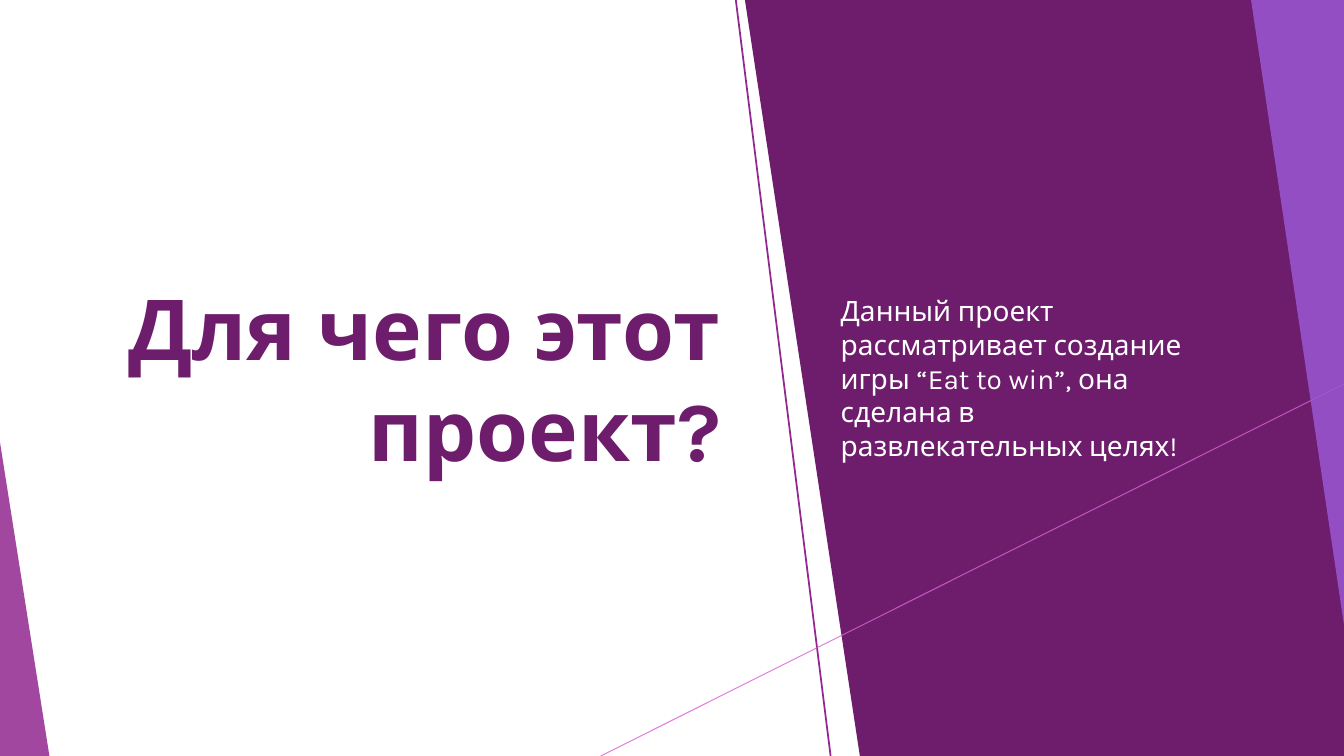
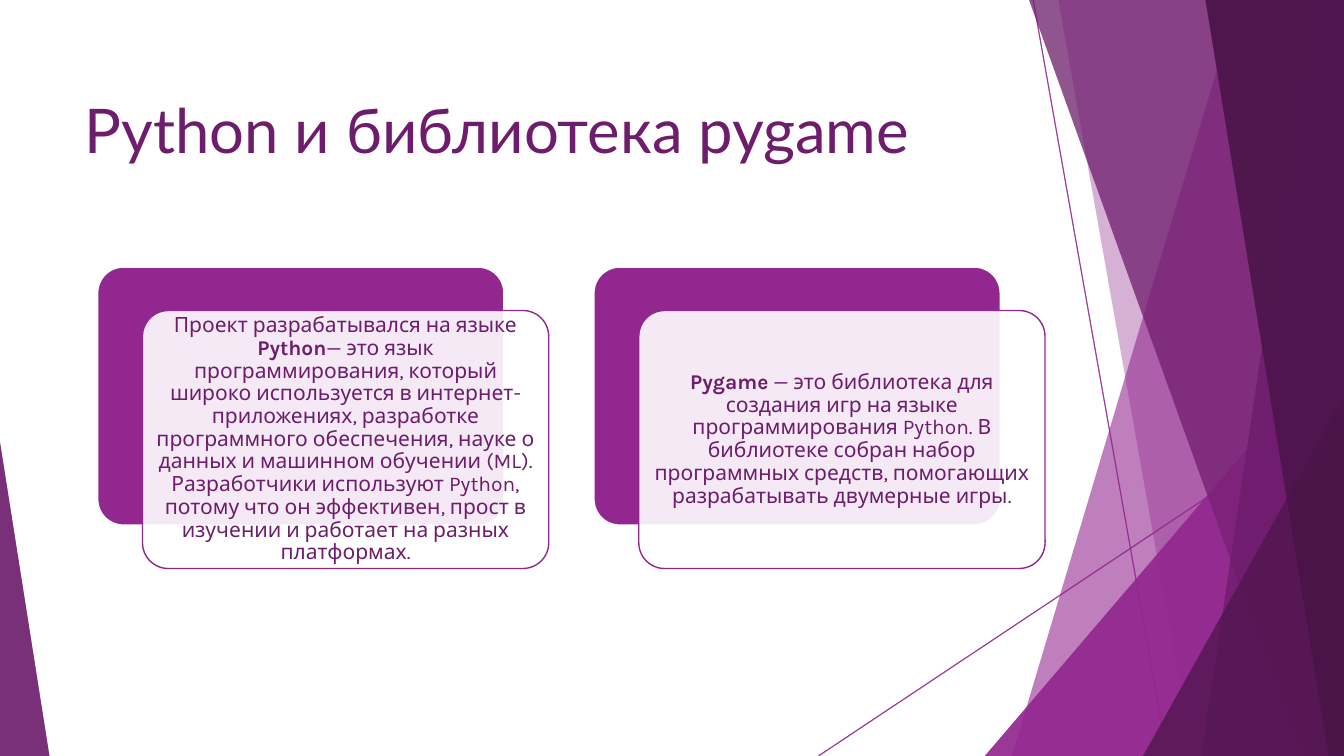
"""Build two slides about a game project written with Python and pygame."""
from dataclasses import dataclass
from typing import Optional, Union

from lxml import etree
from pptx import Presentation
from pptx import util as u
from pptx.dml.color import RGBColor
from pptx.enum import shapes, text
from pptx.oxml.ns import qn

Pt = u.Pt


@dataclass(frozen=True)
class Theme:
    plum: str = "6D1D6B"
    magenta: str = "92278F"
    dark: str = "491447"
    violet: str = "9B57D3"
    pink: str = "D665D3"
    white: str = "FFFFFF"
    font: str = "Karla"
    title_font: str = "Lato"
    cover_size: float = 60
    title_size: float = 44
    body_size: float = 20
    card_size: float = 15
    width: float = 960
    height: float = 540


THEME = Theme()


@dataclass(frozen=True)
class Frame:
    left: float
    top: float
    width: float
    height: float


@dataclass(frozen=True)
class Band:
    top_x: float
    bottom_x: float
    color: str
    opacity: float = 100


@dataclass(frozen=True)
class Wedge:
    frame: Frame
    apex: float
    color: str
    opacity: float
    rotation: float = 0


@dataclass(frozen=True)
class Rule:
    start: tuple[float, float]
    end: tuple[float, float]
    color: str
    weight: float = 0.75
    opacity: float = 100


@dataclass(frozen=True)
class Span:
    words: str
    size: float
    color: str = THEME.plum
    font: str = THEME.font
    bold: bool = False


Decor = Union[Band, Wedge, Rule]

LEFT_CORNER = Frame(0, 316, 35.3, 224)

COVER: list[Decor] = [
    Wedge(LEFT_CORNER, 0, THEME.magenta, 85),
    Band(532.1, 614.2, THEME.plum),
    Rule((525.6, 0), (593.3, 540), THEME.magenta, 1.25),
    Rule((960, 274.3), (429.1, 540), THEME.pink, 0.75, 80),
    Wedge(Frame(893.6, 0, 66.4, 446.4), 0, THEME.violet, 85, 180),
]

FACETS: list[Decor] = [
    Rule((738, 0), (833.8, 540), THEME.magenta, 0.75, 70),
    Rule((960, 290.2), (584.6, 540), THEME.magenta, 0.75, 70),
    Band(884.2, 722.9, THEME.magenta, 36),
    Band(756, 851.8, THEME.magenta, 20),
    Wedge(Frame(703.5, 239.8, 256.5, 300.2), 1, THEME.magenta, 72),
    Band(735.1, 929.5, THEME.plum, 50),
    Band(938.2, 858.2, THEME.plum, 70),
    Band(861.1, 949, THEME.dark, 80),
    Wedge(Frame(816.5, 283, 143.5, 257), 1, THEME.dark, 66),
    Wedge(LEFT_CORNER, 0, THEME.plum, 70),
]

CARDS: list[list[Span]] = [
    [
        Span("Проект разрабатывался на языке ", THEME.card_size),
        Span("Python", THEME.card_size, bold=True),
        Span("— это язык программирования, который широко используется в "
             "интернет-приложениях, разработке программного обеспечения, науке о "
             "данных и машинном обучении (ML). Разработчики используют Python, "
             "потому что он эффективен, прост в изучении и работает на разных "
             "платформах.", THEME.card_size),
    ],
    [
        Span("Pygame", THEME.card_size, bold=True),
        Span(" — это библиотека для создания игр на языке программирования "
             "Python. В библиотеке собран набор программных средств, помогающих "
             "разрабатывать двумерные игры.", THEME.card_size),
    ],
]


def set_opacity(element, opacity: float) -> None:
    if opacity < 100:
        color = next(element.iter(qn("a:srgbClr")))
        etree.SubElement(color, qn("a:alpha"), val=str(int(opacity * 1000)))


def paint(shape, color: str, opacity: float = 100, outline: Optional[str] = None) -> None:
    shape.shadow.inherit = False
    shape.fill.solid()
    shape.fill.fore_color.rgb = RGBColor.from_string(color)
    set_opacity(shape._element.spPr, opacity)
    if outline is None:
        shape.line.fill.background()
    else:
        shape.line.color.rgb = RGBColor.from_string(outline)
        shape.line.width = Pt(1)


def add_preset(page, kind, frame: Frame):
    return page.shapes.add_shape(
        kind, Pt(frame.left), Pt(frame.top), Pt(frame.width), Pt(frame.height))


def draw_band(page, band: Band) -> None:
    builder = page.shapes.build_freeform(Pt(band.top_x), 0)
    builder.add_line_segments([
        (Pt(THEME.width), 0),
        (Pt(THEME.width), Pt(THEME.height)),
        (Pt(band.bottom_x), Pt(THEME.height)),
    ])
    paint(builder.convert_to_shape(), band.color, band.opacity)


def draw_wedge(page, wedge: Wedge) -> None:
    shape = add_preset(page, shapes.MSO_SHAPE.ISOSCELES_TRIANGLE, wedge.frame)
    shape.adjustments[0] = wedge.apex
    shape.rotation = wedge.rotation
    paint(shape, wedge.color, wedge.opacity)


def draw_rule(page, rule: Rule) -> None:
    line = page.shapes.add_connector(
        shapes.MSO_CONNECTOR.STRAIGHT, *map(Pt, rule.start), *map(Pt, rule.end))
    line.line.color.rgb = RGBColor.from_string(rule.color)
    line.line.width = Pt(rule.weight)
    properties = line._element.spPr
    set_opacity(properties, rule.opacity)
    etree.SubElement(properties, qn("a:effectLst"))


def draw_decor(page, items: list[Decor]) -> None:
    painters = {Band: draw_band, Wedge: draw_wedge, Rule: draw_rule}
    for item in items:
        painters[type(item)](page, item)


def write(box, spans: list[Span], align, anchor, spacing: float = 1) -> None:
    frame = box.text_frame
    frame.word_wrap = True
    frame.auto_size = text.MSO_AUTO_SIZE.NONE
    frame.vertical_anchor = anchor
    para = frame.paragraphs[0]
    para.alignment = align
    para.line_spacing = spacing
    para.space_before = Pt(0)
    for span in spans:
        run = para.add_run()
        run.text = span.words
        run.font.name = span.font
        run.font.size = Pt(span.size)
        run.font.bold = span.bold
        run.font.color.rgb = RGBColor.from_string(span.color)


def place(page, box, frame: Frame) -> None:
    box.left, box.top = Pt(frame.left), Pt(frame.top)
    box.width, box.height = Pt(frame.width), Pt(frame.height)
    page.shapes._spTree.append(box._element)


def remove_bullet(para) -> None:
    properties = para._p.get_or_add_pPr()
    properties.set("marL", "0")
    properties.set("indent", "0")
    etree.SubElement(properties, qn("a:buNone"))


def draw_card(page, left: float, spans: list[Span]) -> None:
    back = Frame(left, 190.8, 290.2, 184.3)
    front = Frame(left + 32, back.top + 31, back.width, back.height)
    layers = [(back, THEME.magenta, 100, THEME.white),
              (front, THEME.white, 90, THEME.magenta)]
    for frame, fill, opacity, outline in layers:
        box = add_preset(page, shapes.MSO_SHAPE.ROUNDED_RECTANGLE, frame)
        box.adjustments[0] = 0.1
        paint(box, fill, opacity, outline)
    area = box.text_frame
    area.margin_left = area.margin_right = Pt(4.2)
    area.margin_top = area.margin_bottom = Pt(4.2)
    write(box, spans, text.PP_ALIGN.CENTER, text.MSO_ANCHOR.MIDDLE, 0.9)


def build_purpose(deck) -> None:
    page = deck.slides.add_slide(deck.slide_layouts[1])
    draw_decor(page, COVER)
    body = page.placeholders[1]
    place(page, body, Frame(593.3, 149, 270, 242))
    remove_bullet(body.text_frame.paragraphs[0])
    write(body, [Span("Данный проект рассматривает создание игры “Eat to win”, "
                      "она сделана в развлекательных целях!",
                      THEME.body_size, THEME.white)],
          text.PP_ALIGN.LEFT, text.MSO_ANCHOR.MIDDLE)
    title = page.shapes.title
    place(page, title, Frame(65.5, 67, 456.5, 405.4))
    write(title, [Span("Для чего этот проект?", THEME.cover_size, bold=True)],
          text.PP_ALIGN.RIGHT, text.MSO_ANCHOR.MIDDLE)


def build_tools(deck) -> None:
    page = deck.slides.add_slide(deck.slide_layouts[5])
    draw_decor(page, FACETS * 2)
    title = page.shapes.title
    place(page, title, Frame(53.3, 62, 676.8, 103.7))
    write(title, [Span("Python и библиотека pygame", THEME.title_size,
                       font=THEME.title_font)],
          text.PP_ALIGN.LEFT, text.MSO_ANCHOR.TOP)
    for index, spans in enumerate(CARDS):
        draw_card(page, 69.8 + index * 354.5, spans)


def main() -> None:
    deck = Presentation()
    deck.slide_width, deck.slide_height = Pt(THEME.width), Pt(THEME.height)
    build_purpose(deck)
    build_tools(deck)
    deck.save("out.pptx")


if __name__ == "__main__":
    main()
